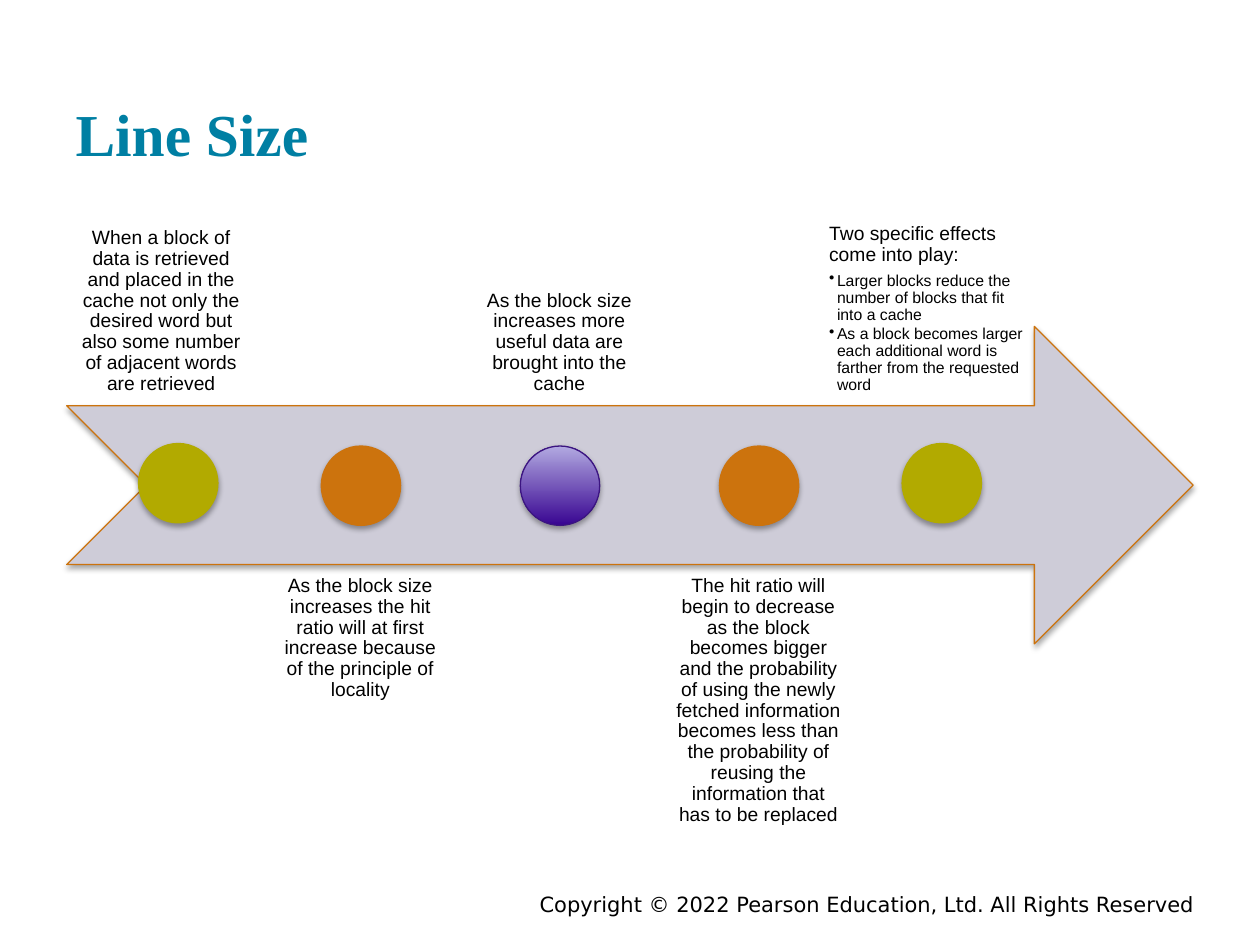
from dataclasses import dataclass

from lxml import etree
from pptx import Presentation
from pptx.dml.color import RGBColor
from pptx.enum.shapes import MSO_SHAPE
from pptx.enum.text import MSO_ANCHOR, MSO_AUTO_SIZE, PP_ALIGN
from pptx.oxml.ns import qn
from pptx.util import Pt

ARROW, OVAL = MSO_SHAPE.NOTCHED_RIGHT_ARROW, MSO_SHAPE.OVAL
TOP, BOTTOM = MSO_ANCHOR.TOP, MSO_ANCHOR.BOTTOM
LEFT, CENTER, RIGHT = PP_ALIGN.LEFT, PP_ALIGN.CENTER, PP_ALIGN.RIGHT

BLACK = RGBColor(0x00, 0x00, 0x00)
TEAL = RGBColor(0x00, 0x7F, 0xA3)
GRAY = RGBColor(0xCE, 0xCC, 0xD8)
OLIVE = RGBColor(0xB2, 0xAA, 0x00)
ORANGE = RGBColor(0xCC, 0x73, 0x0D)
INDIGO = RGBColor(0x38, 0x05, 0x91)
LILAC = RGBColor(0xB2, 0xA9, 0xE1)
PURPLE = RGBColor(0x3C, 0x15, 0x81)

DOT = 45.36
BAND = 181.44
PAD = 6.48
STEP_X, PITCH, STEP_W = 38.16, 113.76, 108
ABOVE_Y, BELOW_Y = 50.4, 322.56
DOT_Y, END_Y = 254.88, 253.44


@dataclass
class Step:
    text: str
    dot_x: float
    dot_y: float
    fill: RGBColor
    line: RGBColor
    fade: RGBColor | None = None
    points: tuple[str, ...] = ()


STEPS = [
    Step("When a block of data is retrieved and placed in the cache not only "
         "the desired word but also some number of adjacent words are retrieved",
         79.2, END_Y, OLIVE, OLIVE),
    Step("As the block size increases the hit ratio will at first increase "
         "because of the principle of locality",
         183.6, DOT_Y, ORANGE, ORANGE),
    Step("As the block size increases more useful data are brought into the cache",
         297.36, DOT_Y, INDIGO, PURPLE, fade=LILAC),
    Step("The hit ratio will begin to decrease as the block becomes bigger and "
         "the probability of using the newly fetched information becomes less "
         "than the probability of reusing the information that has to be replaced",
         411.12, DOT_Y, ORANGE, ORANGE),
    Step("Two specific effects come into play:", 515.52, END_Y, OLIVE, OLIVE,
         points=("Larger blocks reduce the number of blocks that fit into a cache",
                 "As a block becomes larger each additional word is farther from "
                 "the requested word")),
]


def set_frame(frame, anchor, side: float, edge: float) -> None:
    """Set wrapping, anchor and margins of a text frame."""
    frame.word_wrap = True
    frame.auto_size = MSO_AUTO_SIZE.NONE
    frame.vertical_anchor = anchor
    frame.margin_left = frame.margin_right = Pt(side)
    frame.margin_top = frame.margin_bottom = Pt(edge)


def write(para, text: str, *, size: float, font: str = "Arial",
          color: RGBColor = BLACK, bold: bool = False, align=LEFT,
          spacing: float = 1.0, before: float = 0, bullet: bool = False) -> None:
    if bullet:
        para.level = 1
        props = para._p.get_or_add_pPr()
        props.set("marL", str(Pt(4.5)))
        props.set("indent", str(-Pt(4.5)))
        etree.SubElement(props, qn("a:buChar")).set("char", "•")
    para.alignment = align
    para.line_spacing = spacing
    para.space_before = Pt(before)
    run = para.add_run()
    run.text = text
    run.font.size = Pt(size)
    run.font.name = font
    run.font.bold = bold
    run.font.color.rgb = color


def add_box(slide, x: float, y: float, w: float, h: float, anchor=TOP,
            side: float = PAD, edge: float = PAD):
    """Add a text box and return its frame."""
    frame = slide.shapes.add_textbox(Pt(x), Pt(y), Pt(w), Pt(h)).text_frame
    set_frame(frame, anchor, side, edge)
    return frame


def add_form(slide, kind, x: float, y: float, w: float, h: float,
             fill: RGBColor, line: RGBColor, fade: RGBColor | None = None) -> None:
    """Add a shape with a soft shadow; fade turns its fill to a gradient."""
    shape = slide.shapes.add_shape(kind, Pt(x), Pt(y), Pt(w), Pt(h))
    if fade is None:
        shape.fill.solid()
        shape.fill.fore_color.rgb = fill
    else:
        shape.fill.gradient()
        shape.fill.gradient_angle = 90
        for stop, color in zip(shape.fill.gradient_stops, (fill, fade)):
            stop.color.rgb = color
    shape.line.color.rgb = line
    shape.line.width = Pt(0.75)
    shape.shadow.inherit = False
    effects = shape._element.spPr.find(qn("a:effectLst"))
    shadow = etree.SubElement(effects, qn("a:outerShdw"), blurRad=str(Pt(3.15)),
                              dist=str(Pt(1.8)), dir="5400000", rotWithShape="0")
    color = etree.SubElement(shadow, qn("a:srgbClr"), val=str(BLACK))
    etree.SubElement(color, qn("a:alpha"), val="35000")


def add_step(slide, index: int, step: Step) -> None:
    above = index % 2 == 0
    x, w = STEP_X + index * PITCH, STEP_W
    if step.points:
        x, w = 467.28, 123.84
    frame = add_box(slide, x, ABOVE_Y if above else BELOW_Y, w, BAND,
                    BOTTOM if above else TOP)
    write(frame.paragraphs[0], step.text, size=11, spacing=0.9,
          align=LEFT if step.points else CENTER)
    for num, point in enumerate(step.points):
        write(frame.add_paragraph(), point, size=9, spacing=0.9,
              before=1.35 if num else 3.85, bullet=True)
    add_form(slide, OVAL, step.dot_x, step.dot_y, DOT, DOT,
             step.fill, step.line, step.fade)


def main() -> None:
    deck = Presentation()
    deck.slide_width, deck.slide_height = Pt(720), Pt(540)
    slide = deck.slides.add_slide(deck.slide_layouts[5])

    title = slide.shapes.title
    title.left, title.top, title.width, title.height = (
        Pt(36), Pt(17.28), Pt(648), Pt(86.4))
    set_frame(title.text_frame, BOTTOM, 7.2, 7.2)
    write(title.text_frame.paragraphs[0], "Line Size", size=34,
          font="Times New Roman", color=TEAL, bold=True)

    footer = add_box(slide, 126, 506.16, 563.76, 15.84, side=7.2, edge=3.6)
    write(footer.paragraphs[0],
          "Copyright © 2022 Pearson Education, Ltd. All Rights Reserved",
          size=12, font="DejaVu Sans", align=RIGHT)

    add_form(slide, ARROW, STEP_X, 186.48, 643.68, BAND, GRAY, ORANGE)
    for index, step in enumerate(STEPS):
        add_step(slide, index, step)
    deck.save("out.pptx")


if __name__ == "__main__":
    main()
